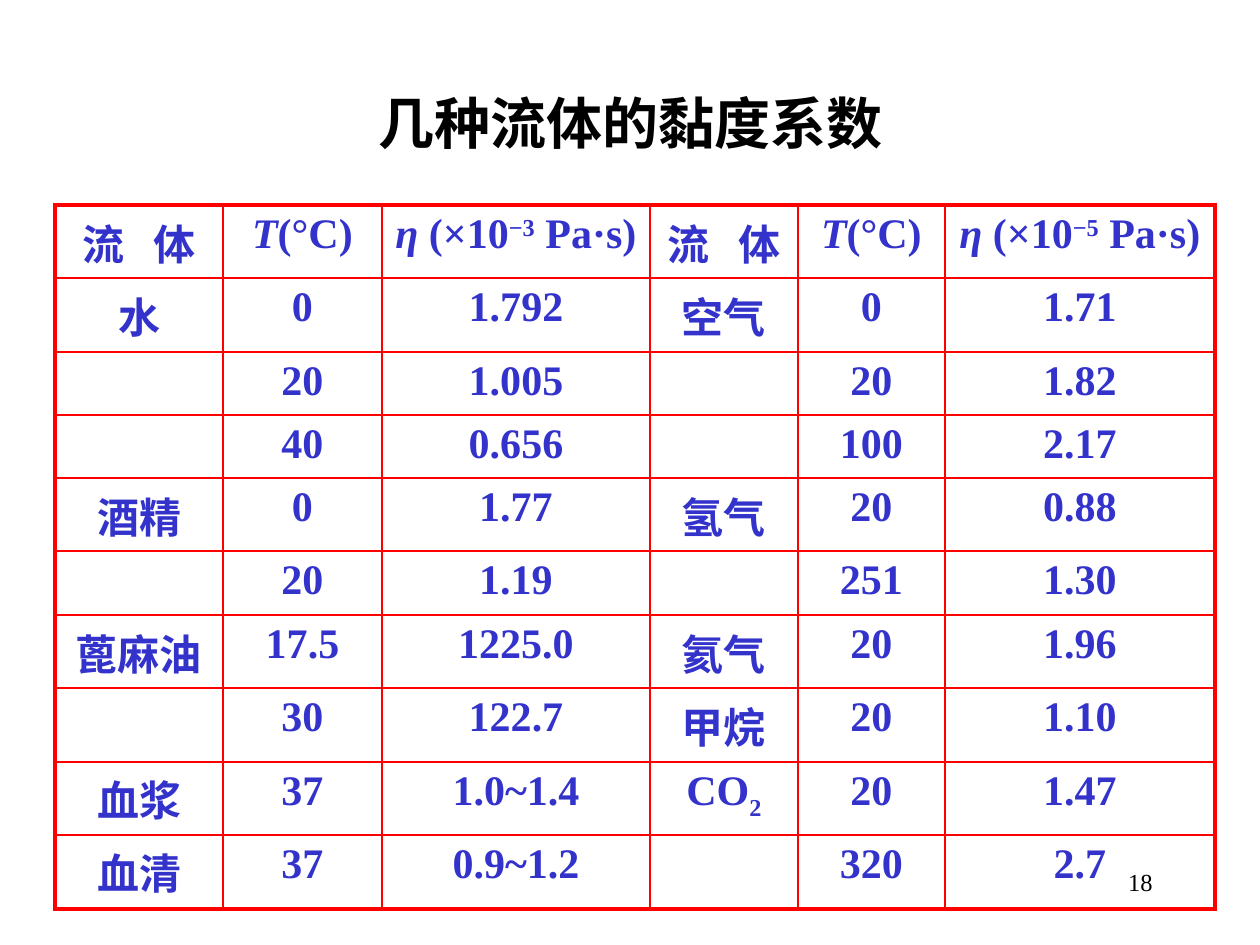
from lxml.etree import SubElement
from pptx import Presentation
from pptx.dml.color import RGBColor
from pptx.enum.text import MSO_ANCHOR as Anchor, PP_ALIGN as Align
from pptx.oxml.ns import qn
from pptx.util import Pt

EMU_PER_PX = 914400 / 126
BLUE, RED, BLACK = "3333CC", "FF0000", "000000"
COLUMN_WIDTHS = [168, 159, 268, 148, 147, 270]
ROW_HEIGHTS = [73, 74, 63, 63, 73, 64, 73, 74, 73, 74]
OUTER_LINE, INNER_LINE = 2.25, 1

FLUID = [("流", {}), (" ", {"spacing": 11}), ("体", {})]
TEMPERATURE = [("T", {"italic": True}), ("(°C)", {})]


def viscosity(exponent):
    """Return the runs of a viscosity heading with its power of ten."""
    return [("η ", {"italic": True}), ("(×10", {}),
            (exponent, {"baseline": 30}), (" Pa·s)", {})]


CARBON_DIOXIDE = [("CO", {}), ("2", {"baseline": -25})]
ROWS = [
    [FLUID, TEMPERATURE, viscosity("−3"), FLUID, TEMPERATURE, viscosity("−5")],
    ["水", "0", "1.792", "空气", "0", "1.71"],
    ["", "20", "1.005", "", "20", "1.82"],
    ["", "40", "0.656", "", "100", "2.17"],
    ["酒精", "0", "1.77", "氢气", "20", "0.88"],
    ["", "20", "1.19", "", "251", "1.30"],
    ["蓖麻油", "17.5", "1225.0", "氦气", "20", "1.96"],
    ["", "30", "122.7", "甲烷", "20", "1.10"],
    ["血浆", "37", "1.0~1.4", CARBON_DIOXIDE, "20", "1.47"],
    ["血清", "37", "0.9~1.2", "", "320", "2.7"],
]


def px(length):
    """Turn pixels into EMU."""
    return round(length * EMU_PER_PX)


def color(hex_string):
    """Turn a hex string into a colour."""
    return RGBColor.from_string(hex_string)


def add_run(paragraph, text, size=24, fill=BLUE, bold=True, italic=False,
            baseline=0, spacing=0):
    """Add a formatted run to a paragraph."""
    run = paragraph.add_run()
    run.text = text
    font = run.font
    font.name, font.size = "Times New Roman", Pt(size)
    font.bold, font.italic = bold, italic
    font.color.rgb = color(fill)
    properties = font._element
    if baseline:
        properties.set("baseline", str(baseline * 1000))
    if spacing:
        properties.set("spc", str(spacing * 100))


def add_label(slide, box, text, align, anchor=Anchor.TOP, **style):
    """Place a one-line text box in the given box."""
    frame = slide.shapes.add_textbox(*map(px, box)).text_frame
    frame.word_wrap = True
    frame.vertical_anchor = anchor
    paragraph = frame.paragraphs[0]
    paragraph.alignment = align
    add_run(paragraph, text, fill=BLACK, **style)


def set_borders(cell, widths):
    """Draw the left, right, top and bottom lines of a cell."""
    properties = cell._tc.get_or_add_tcPr()
    for side, width in zip("LRTB", widths):
        line = SubElement(properties, qn(f"a:ln{side}"), w=str(Pt(width)))
        fill = SubElement(line, qn("a:solidFill"))
        SubElement(fill, qn("a:srgbClr"), val=RED)


def add_viscosity_table(slide, left, top):
    """Place the table of fluids with its heavy outer frame."""
    row_count, column_count = len(ROWS), len(COLUMN_WIDTHS)
    table = slide.shapes.add_table(
        row_count, column_count, px(left), px(top),
        px(sum(COLUMN_WIDTHS)), px(sum(ROW_HEIGHTS))).table
    table.first_row = table.horz_banding = False
    for column, width in zip(table.columns, COLUMN_WIDTHS):
        column.width = px(width)
    for row_index, (row, height) in enumerate(zip(ROWS, ROW_HEIGHTS)):
        table.rows[row_index].height = px(height)
        for column_index, content in enumerate(row):
            cell = table.cell(row_index, column_index)
            edges = (column_index == 0, column_index == column_count - 1,
                     row_index == 0, row_index == row_count - 1)
            set_borders(cell, [OUTER_LINE if edge else INNER_LINE for edge in edges])
            cell.fill.background()
            paragraph = cell.text_frame.paragraphs[0]
            paragraph.alignment = Align.CENTER
            runs = [(content, {})] if isinstance(content, str) else content
            for text, style in runs:
                if text:
                    add_run(paragraph, text, **style)


def main():
    """Build the slide and save it."""
    presentation = Presentation()
    presentation.slide_width, presentation.slide_height = px(1260), px(945)
    slide = presentation.slides.add_slide(presentation.slide_layouts[6])
    add_label(slide, (903, 861, 262, 63), "18", Align.RIGHT, size=14, bold=False)
    add_label(slide, (143, 86, 975, 73), "几种流体的黏度系数", Align.CENTER,
              Anchor.MIDDLE, size=32)
    add_viscosity_table(slide, 55, 205)
    presentation.save("out.pptx")


if __name__ == "__main__":
    main()
